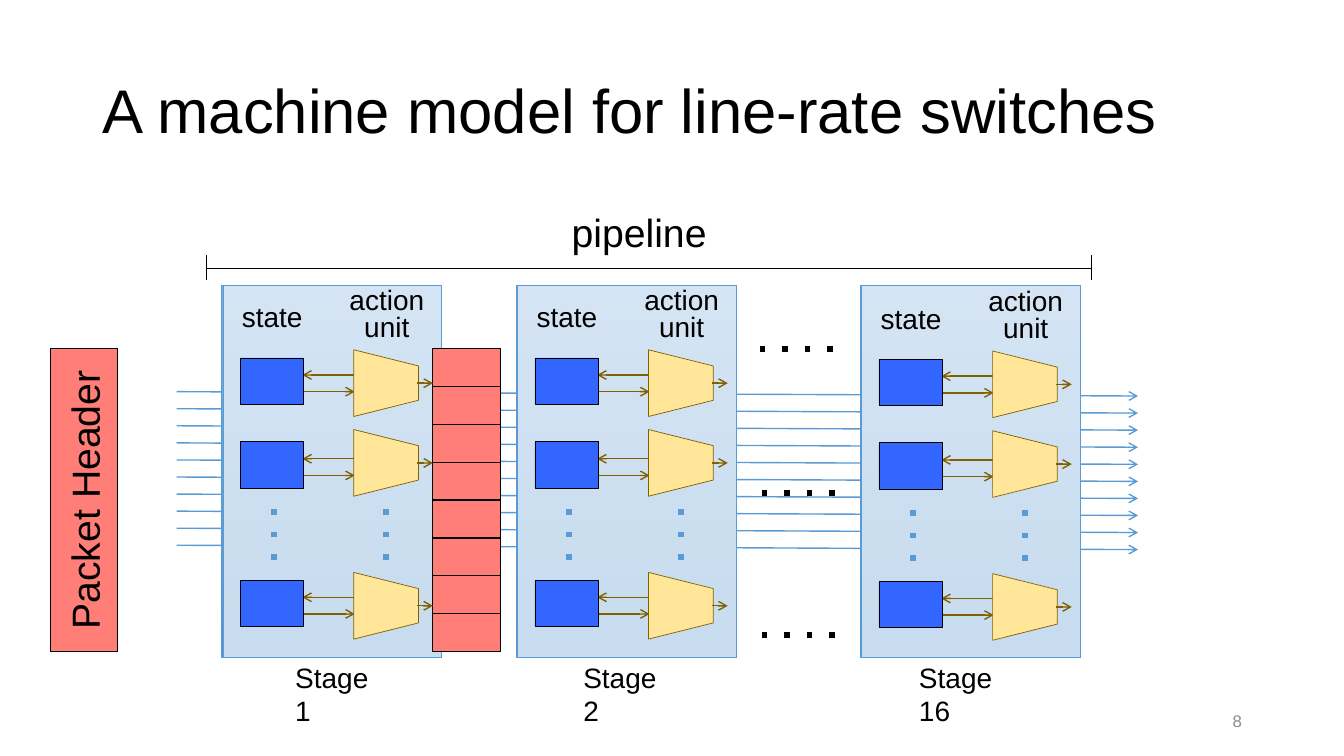
from lxml.etree import SubElement
from pptx import Presentation
from pptx.dml.color import RGBColor
from pptx.enum.shapes import MSO_CONNECTOR, MSO_SHAPE
from pptx.enum.text import MSO_ANCHOR, PP_ALIGN
from pptx.oxml.ns import qn
from pptx.util import Cm, Pt

# Content: lengths in centimetres
TITLE = "A machine model for line-rate switches"
PAGE_NUMBER = "8"
# name, panel left, label left, label width, downward shift of the contents
STAGES = [
    ("Stage 1", 5.59, 7.19, 2.62, 0),
    ("Stage 2", 13.02, 14.45, 2.72, 0),
    ("Stage 16", 21.69, 22.91, 3.0, 0.03),
]
# top of the state box, top of the action unit
UNIT_ROWS = [(9.02, 8.84), (11.13, 10.85), (14.62, 14.45)]
ELLIPSES = [(19.15, 8.79), (19.2, 12.42), (19.2, 16.0)]

PANEL_TOP, PANEL_WIDTH, PANEL_HEIGHT = 7.19, 5.54, 9.37
STATE_LEFT, STATE_WIDTH, STATE_HEIGHT = 0.46, 1.6, 1.17
ACTION_LEFT, ACTION_WIDTH, ACTION_HEIGHT = 3.3, 1.68, 1.63
HEADER_TOP, HEADER_WIDTH, HEADER_HEIGHT = 8.79, 1.7, 7.62
PACKET_LEFT, FIELDS_LEFT, FIELD_COUNT = 1.27, 10.9, 8
WIRE_COUNT, WIRE_TOP, WIRE_GAP = 10, 9.87, 0.43
PIPELINE_LEFT, PIPELINE_RIGHT = 5.21, 27.51

FONT = "Arial"
BLACK = RGBColor(0x00, 0x00, 0x00)
WHITE = RGBColor(0xFF, 0xFF, 0xFF)
GRAY = RGBColor(0x8C, 0x8C, 0x8C)
SKY = RGBColor(0x5B, 0x9B, 0xD5)
PANEL_LIGHT = RGBColor(0x71, 0xA6, 0xDB)
PANEL_DARK = RGBColor(0x44, 0x8A, 0xCA)
SALMON = RGBColor(0xFF, 0x7E, 0x77)
BLUE = RGBColor(0x33, 0x66, 0xFF)
YELLOW = RGBColor(0xFF, 0xE6, 0x99)
BROWN = RGBColor(0x80, 0x60, 0x00)

deck = Presentation()
deck.slide_width, deck.slide_height = Cm(33.87), Cm(19.05)
page = deck.slides.add_slide(deck.slide_layouts[6])


# Drawing helpers
def write(shape, text, size, color=BLACK, align=PP_ALIGN.LEFT,
          anchor=MSO_ANCHOR.TOP, spacing=None):
    frame = shape.text_frame
    frame.word_wrap = True
    frame.vertical_anchor = anchor
    para = frame.paragraphs[0]
    para.alignment = align
    if spacing:
        para.line_spacing = spacing
    span = para.add_run()
    span.text = text
    span.font.name, span.font.size = FONT, Pt(size)
    span.font.color.rgb = color


def add_text(left, top, width, height, text, size, inset=None, **style):
    box = page.shapes.add_textbox(Cm(left), Cm(top), Cm(width), Cm(height))
    write(box, text, size, **style)
    if inset:
        frame = box.text_frame
        frame.margin_left = frame.margin_right = Cm(inset)
        frame.margin_top = frame.margin_bottom = Cm(inset / 2)


def add_block(left, top, width, height, fill, outline=BLACK, kind=MSO_SHAPE.RECTANGLE):
    block = page.shapes.add_shape(kind, Cm(left), Cm(top), Cm(width), Cm(height))
    block.shadow.inherit = False
    block.fill.solid()
    block.fill.fore_color.rgb = fill
    block.line.color.rgb = outline
    block.line.width = Pt(0.5)
    return block


def add_line(x1, y1, x2, y2, color, weight=1, dotted=False, arrow=False):
    link = page.shapes.add_connector(
        MSO_CONNECTOR.STRAIGHT, Cm(x1), Cm(y1), Cm(x2), Cm(y2))
    link.line.color.rgb = color
    link.line.width = Pt(weight)
    outline = link.line._get_or_add_ln()
    if dotted:
        SubElement(outline, qn("a:prstDash")).set("val", "dot")
    if arrow:
        SubElement(outline, qn("a:tailEnd")).set("type", "arrow")
    SubElement(link.element.spPr, qn("a:effectLst"))


def add_panel(left):
    panel = add_block(left, PANEL_TOP, PANEL_WIDTH, PANEL_HEIGHT, SKY, SKY)
    panel.fill.gradient()
    panel.fill.gradient_angle = 270
    for stop, color in zip(panel.fill.gradient_stops, (PANEL_LIGHT, PANEL_DARK)):
        stop.color.rgb = color
    veil = add_block(left + 0.03, PANEL_TOP, PANEL_WIDTH - 0.03, PANEL_HEIGHT, WHITE, SKY)
    tint = veil.element.spPr.find(qn("a:solidFill"))[0]
    SubElement(tint, qn("a:alpha")).set("val", "70000")


def add_stage_contents(left, shift):
    captions = [("state", -0.15, 7.54, 2.84, 1.07), ("action unit", 2.79, 7.11, 2.74, 1.75)]
    for text, offset, top, width, height in captions:
        add_text(left + offset, top + shift, width, height, text, 20, inset=0.36,
                 align=PP_ALIGN.CENTER, spacing=0.8)
    for offset in (1.32, 4.14):
        add_line(left + offset, 12.83 + shift, left + offset, 14.2 + shift, SKY, 4, dotted=True)
    for state_top, action_top in UNIT_ROWS:
        state_y, action_y = state_top + shift, action_top + shift
        # Read and write arrows, partly hidden by the units
        add_line(left + 1.32, state_y + 0.85, left + 3.35, state_y + 0.85, BROWN, arrow=True)
        add_line(left + 3.5, state_y + 0.43, left + 2.03, state_y + 0.43, BROWN, arrow=True)
        add_block(left + STATE_LEFT, state_y, STATE_WIDTH, STATE_HEIGHT, BLUE)
        unit = add_block(left + ACTION_LEFT, action_y, ACTION_WIDTH, ACTION_HEIGHT,
                         YELLOW, BROWN, MSO_SHAPE.TRAPEZOID)
        unit.rotation = 90
        exit_y = action_y + ACTION_HEIGHT / 2
        add_line(left + 4.93, exit_y, left + 5.32, exit_y, BROWN, arrow=True)


# Title and page number
add_text(2.34, 1.02, 29.21, 3.68, TITLE, 44, anchor=MSO_ANCHOR.MIDDLE, spacing=0.9)
add_text(23.93, 17.65, 7.62, 1.02, PAGE_NUMBER, 12, color=GRAY,
         align=PP_ALIGN.RIGHT, anchor=MSO_ANCHOR.MIDDLE)

# Wires running through all stages, and the skipped stages
for index in range(WIRE_COUNT):
    wire_y = WIRE_TOP + index * WIRE_GAP
    add_line(4.45, wire_y, 28.68, wire_y + 0.11, SKY, arrow=True)
for dots_left, dots_y in ELLIPSES:
    add_line(dots_left, dots_y, dots_left + 2.18, dots_y, BLACK, 4, dotted=True)

# Pipeline bracket
for tick_x in (PIPELINE_LEFT, PIPELINE_RIGHT):
    add_line(tick_x, 6.43, tick_x, 7.06, BLACK)
add_line(PIPELINE_RIGHT, 6.77, PIPELINE_LEFT, 6.77, BLACK)
add_text(12.42, 5.08, 7.37, 1.57, "pipeline", 28, inset=0.36, align=PP_ALIGN.CENTER)

# Stage panels and labels
for name, panel_left, label_left, label_width, _ in STAGES:
    add_panel(panel_left)
    add_text(label_left, 16.51, label_width, 1.12, name, 20)

# Packet header, whole and split into fields
packet = add_block(PACKET_LEFT, HEADER_TOP, HEADER_WIDTH, HEADER_HEIGHT, SALMON)
write(packet, "Packet Header", 28, align=PP_ALIGN.CENTER, anchor=MSO_ANCHOR.MIDDLE)
packet.text_frame._txBody.bodyPr.set("vert", "vert270")
add_block(FIELDS_LEFT, HEADER_TOP, HEADER_WIDTH, HEADER_HEIGHT, SALMON)
for index in range(1, FIELD_COUNT):
    field_y = HEADER_TOP + index * HEADER_HEIGHT / FIELD_COUNT
    add_line(FIELDS_LEFT, field_y, FIELDS_LEFT + HEADER_WIDTH, field_y, BLACK)

# State boxes and action units
for _, panel_left, _, _, shift in STAGES:
    add_stage_contents(panel_left, shift)

deck.save("out.pptx")
